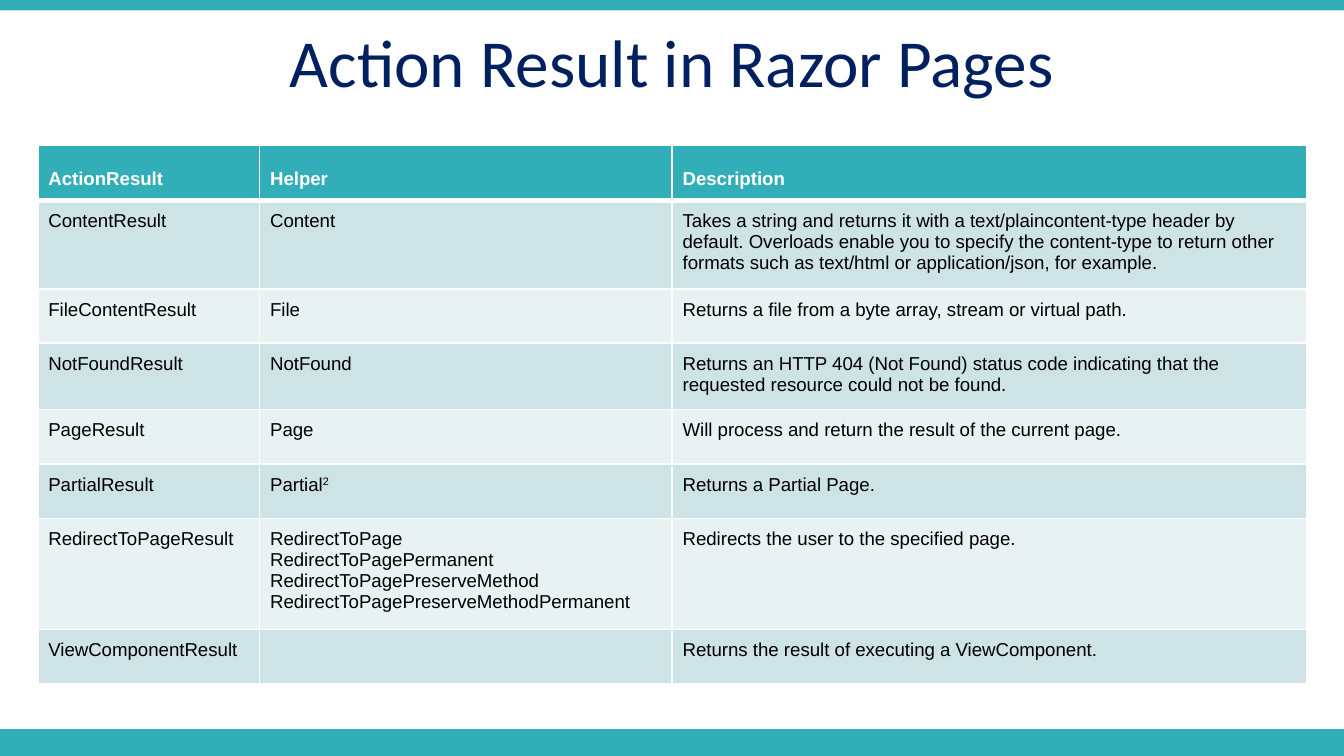
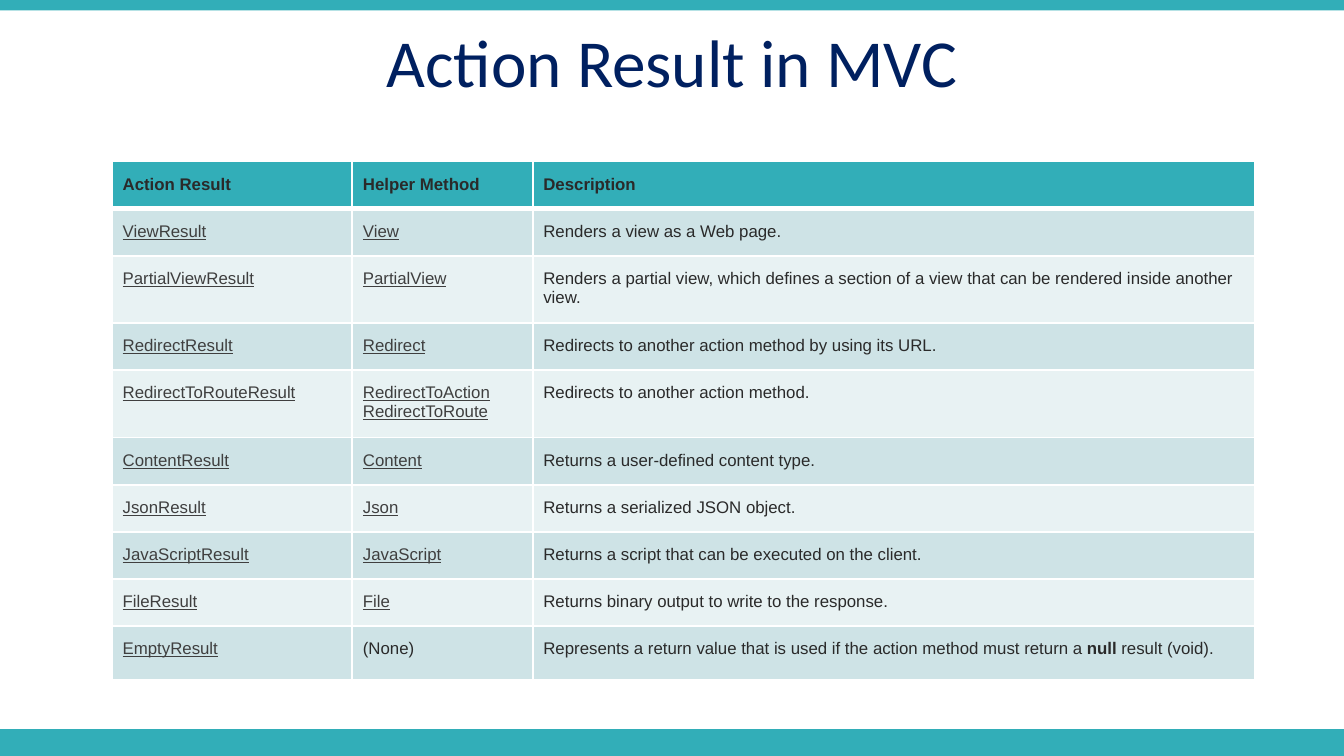
from lxml import etree
from pptx import Presentation
from pptx import util as u
from pptx.dml.color import RGBColor
from pptx.enum import shapes, text
from pptx.oxml.ns import qn

COLORS = {
    "teal": "32AEB8", "navy": "002060", "white": "FFFFFF", "black": "000000",
    "ink": "2A2A2A", "link": "3F3F3F", "band_dark": "CEE3E6", "band_light": "E8F2F3",
}
WIDTH, HEIGHT = 720, 405
TOP_BAND, BOTTOM_BAND = 5.6, 14.4
SUPERSCRIPT = "30000"

RAZOR_ROWS = [
    ["ActionResult", "Helper", "Description"],
    ["ContentResult", "Content",
     "Takes a string and returns it with a text/plaincontent-type header by default. "
     "Overloads enable you to specify the content-type to return other formats such as "
     "text/html or application/json, for example."],
    ["FileContentResult", "File", "Returns a file from a byte array, stream or virtual path."],
    ["NotFoundResult", "NotFound",
     "Returns an HTTP 404 (Not Found) status code indicating that the requested resource "
     "could not be found."],
    ["PageResult", "Page", "Will process and return the result of the current page."],
    ["PartialResult", [("Partial", {}), ("2", {"raised": True})], "Returns a Partial Page."],
    ["RedirectToPageResult",
     "RedirectToPage\vRedirectToPagePermanent\vRedirectToPagePreserveMethod\v"
     "RedirectToPagePreserveMethodPermanent",
     "Redirects the user to the specified page."],
    ["ViewComponentResult", "", "Returns the result of executing a ViewComponent."],
]

MVC_ROWS = [
    ["Action Result", "Helper Method", "Description"],
    ["ViewResult", "View", "Renders a view as a Web page."],
    ["PartialViewResult", "PartialView",
     "Renders a partial view, which defines a section of a view that can be rendered "
     "inside another view."],
    ["RedirectResult", "Redirect", "Redirects to another action method by using its URL."],
    ["RedirectToRouteResult", "RedirectToAction\nRedirectToRoute",
     "Redirects to another action method."],
    ["ContentResult", "Content", "Returns a user-defined content type."],
    ["JsonResult", "Json", "Returns a serialized JSON object."],
    ["JavaScriptResult", "JavaScript", "Returns a script that can be executed on the client."],
    ["FileResult", "File", "Returns binary output to write to the response."],
    ["EmptyResult", [("(None)", {"color": "ink", "underline": False})],
     [("Represents a return value that is used if the action method must return a ", {}),
      ("null", {"bold": True}), (" result (void).", {})]],
]

RAZOR_STYLE = {
    "size": 10, "margins": (5.7, 5.7), "header_anchor": text.MSO_ANCHOR.BOTTOM,
    "header": {"color": "white", "bold": True},
    "columns": [{"color": "black"}] * 3,
}
MVC_STYLE = {
    "size": 9, "margins": (5.7, 7.2), "header_anchor": text.MSO_ANCHOR.MIDDLE,
    "header": {"color": "ink", "bold": True},
    "columns": [{"color": "link", "underline": True}] * 2 + [{"color": "ink"}],
}


def rgb(name):
    return RGBColor.from_string(COLORS[name])


def set_all(target, values):
    for name, value in values.items():
        setattr(target, name, value)


def add_span(para, words, size, font="Arial", color="black", bold=False,
             underline=False, raised=False):
    span = para.add_run()
    span.text = words
    set_all(span.font, {"name": font, "size": u.Pt(size), "bold": bold, "underline": underline})
    span.font.color.rgb = rgb(color)
    if raised:
        span.font._element.set("baseline", SUPERSCRIPT)


def add_band(page, top, height):
    band = page.shapes.add_shape(shapes.MSO_SHAPE.RECTANGLE, 0, u.Pt(top),
                                 u.Pt(WIDTH), u.Pt(height))
    band.shadow.inherit = False
    band.fill.solid()
    band.fill.fore_color.rgb = rgb("teal")
    band.line.fill.background()


def add_title(page, words):
    box = page.shapes.add_textbox(0, u.Pt(10), u.Pt(WIDTH), u.Pt(45.4))
    set_all(box.text_frame, {"word_wrap": True, "vertical_anchor": text.MSO_ANCHOR.MIDDLE})
    para = box.text_frame.paragraphs[0]
    set_all(para, {"alignment": text.PP_ALIGN.CENTER, "space_before": u.Pt(7.2)})
    add_span(para, words, 36, "Calibri", "navy")


def add_page(deck, title):
    page = deck.slides.add_slide(deck.slide_layouts[6])
    add_band(page, HEIGHT - BOTTOM_BAND, BOTTOM_BAND)
    add_band(page, 0, TOP_BAND)
    add_title(page, title)
    return page


def write_cell(cell, content, size, look):
    """Fill a cell; a newline starts a paragraph, a vertical tab breaks the line."""
    para = cell.text_frame.paragraphs[0]
    if not content:
        para._p.get_or_add_endParaRPr().set("sz", str(size * 100))
        return
    spans = [(content, {})] if isinstance(content, str) else content
    for words, extra in spans:
        for p, block in enumerate(words.split("\n")):
            if p:
                para = cell.text_frame.add_paragraph()
            for n, line in enumerate(block.split("\v")):
                if n:
                    para.add_line_break()
                add_span(para, line, size, **{**look, **extra})


def add_borders(cell, row):
    """White rules on all sides, with a thick one between header and body."""
    widths = {"lnL": 1, "lnR": 1, "lnT": 3 if row == 1 else 1, "lnB": 3 if row == 0 else 1}
    for side, width in widths.items():
        line = etree.SubElement(cell._tc.get_or_add_tcPr(), qn("a:" + side), w=str(u.Pt(width)))
        fill = etree.SubElement(line, qn("a:solidFill"))
        etree.SubElement(fill, qn("a:srgbClr"), val=COLORS["white"])


def add_result_table(page, rows, left, top, height, widths, heights, style):
    frame = page.shapes.add_table(len(rows), len(widths), u.Pt(left), u.Pt(top),
                                  u.Pt(sum(widths)), u.Pt(height))
    table = frame.table
    for column, width in zip(table.columns, widths):
        column.width = u.Pt(width)
    for row, row_height in zip(table.rows, heights):
        row.height = u.Pt(row_height)
    frame.height = u.Pt(height)
    side, end = (u.Pt(margin) for margin in style["margins"])
    for r, row in enumerate(rows):
        band = "teal" if r == 0 else ("band_light", "band_dark")[r % 2]
        for c, content in enumerate(row):
            cell = table.cell(r, c)
            set_all(cell, {
                "margin_left": side, "margin_right": side,
                "margin_top": end, "margin_bottom": end,
                "vertical_anchor": text.MSO_ANCHOR.TOP if r else style["header_anchor"],
            })
            add_borders(cell, r)
            cell.fill.solid()
            cell.fill.fore_color.rgb = rgb(band)
            write_cell(cell, content, style["size"],
                       style["columns"][c] if r else style["header"])


def main():
    deck = Presentation()
    set_all(deck, {"slide_width": u.Pt(WIDTH), "slide_height": u.Pt(HEIGHT)})

    razor = add_page(deck, "Action Result in Razor Pages")
    add_result_table(razor, RAZOR_ROWS, 20.2, 78, 290, [118.8, 221, 340],
                     [29.2] * len(RAZOR_ROWS), RAZOR_STYLE)

    mvc = add_page(deck, "Action Result in MVC")
    add_result_table(mvc, MVC_ROWS, 60, 86.5, 283, [128.7, 96.7, 386.6],
                     [20, 20, 28.5, 20, 28.5, 20, 20, 24, 24, 28.5], MVC_STYLE)

    deck.save("out.pptx")


if __name__ == "__main__":
    main()
